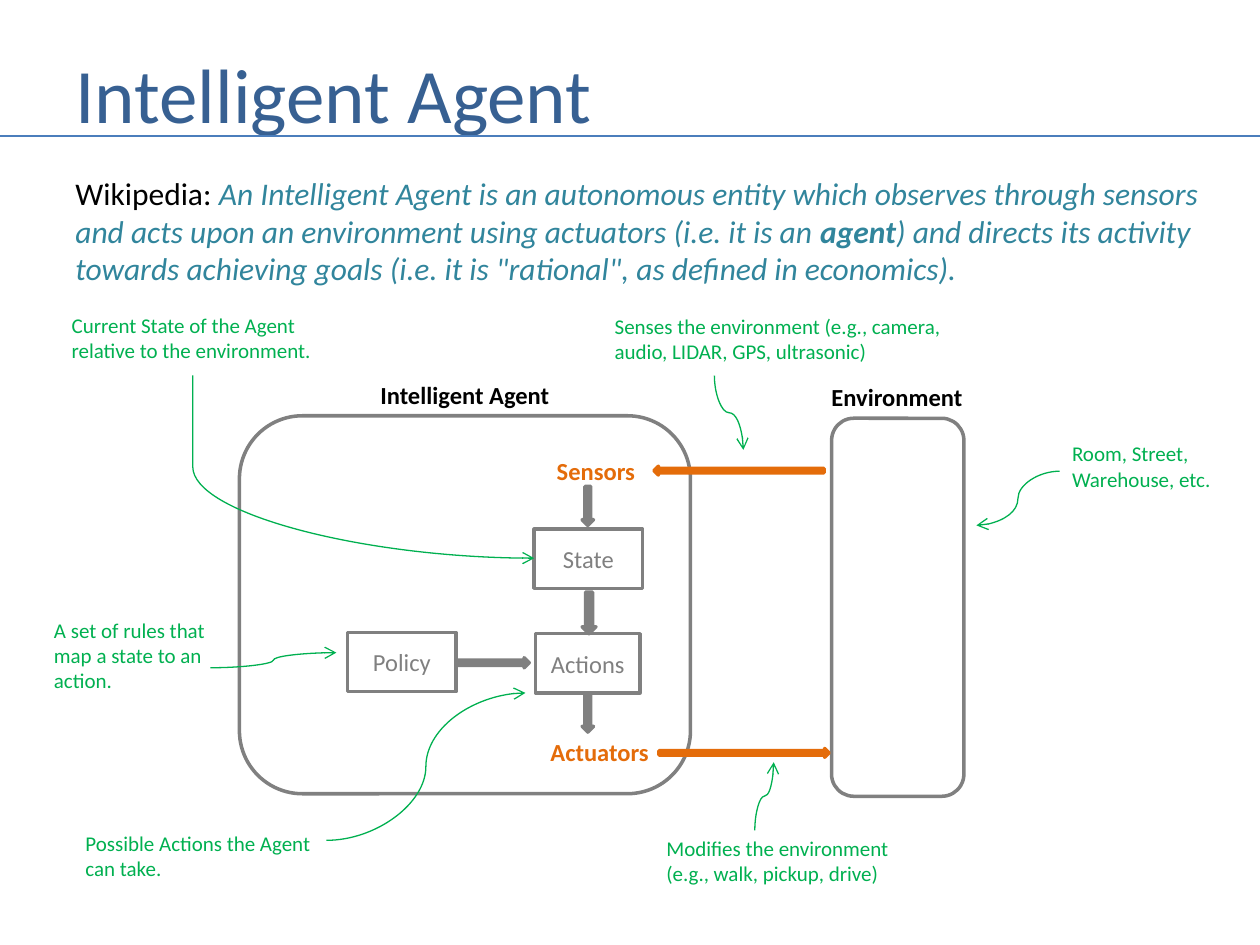
from dataclasses import dataclass

from lxml.etree import SubElement
from pptx import Presentation
from pptx.dml.color import RGBColor
from pptx.enum.shapes import MSO_CONNECTOR, MSO_SHAPE
from pptx.enum.text import MSO_ANCHOR, MSO_AUTO_SIZE, PP_ALIGN
from pptx.oxml.ns import qn
from pptx.util import Inches, Pt

FONT = "Calibri"
BLACK, GRAY, ORANGE, GREEN = "000000", "808080", "E46C0A", "00B050"
TITLE_BLUE, RULE_BLUE, TEAL = "376092", "4B7EBC", "31859C"


@dataclass
class Area:
    left: float
    top: float
    width: float
    height: float

    def lengths(self):
        return [Inches(n) for n in (self.left, self.top, self.width, self.height)]


@dataclass
class Label:
    text: str
    area: Area
    color: str
    size: int = 14
    bold: bool = True


@dataclass
class Note(Label):
    color: str = GREEN
    size: int = 12
    bold: bool = False


@dataclass
class Block:
    area: Area
    text: str = ""
    kind: int = MSO_SHAPE.RECTANGLE


@dataclass
class Arrow:
    kind: int
    area: Area
    color: str = GRAY
    rotation: int = 0


@dataclass
class Curve:
    start: tuple
    end: tuple
    vertical: bool = False
    bend: int = 50000


LABELS = [
    Label("Intelligent Agent", Area(2.92, 2.97, 1.55, 0.34), BLACK),
    Label("Environment", Area(6.5, 2.98, 1.25, 0.34), BLACK),
    Label("Sensors", Area(4.32, 3.57, 0.83, 0.34), ORANGE),
    Label("Actuators", Area(4.27, 5.8, 0.99, 0.34), ORANGE),
    Note("Senses the environment (e.g., camera, \vaudio, LIDAR, GPS, ultrasonic)",
         Area(4.78, 2.44, 2.85, 0.5)),
    Note("Room, Street, \vWarehouse, etc.", Area(8.41, 3.45, 1.31, 0.5)),
    Note("Modifies the environment\v(e.g., walk, pickup, drive)", Area(5.19, 6.58, 1.98, 0.5)),
    Note("Current State of the Agent\nrelative to the environment.", Area(0.47, 2.43, 2.12, 0.5)),
    Note("Possible Actions the Agent\ncan take.", Area(0.58, 6.54, 2.01, 0.5)),
    Note("A set of rules that\nmap a state to an\naction.", Area(0.33, 4.85, 1.41, 0.71)),
]

BLOCKS = [
    Block(Area(1.9, 3.3, 3.58, 3), kind=MSO_SHAPE.ROUNDED_RECTANGLE),
    Block(Area(6.6, 3.32, 1.05, 3), kind=MSO_SHAPE.ROUNDED_RECTANGLE),
    Block(Area(4.24, 4.2, 0.86, 0.47), "State"),
    Block(Area(4.25, 5.03, 0.83, 0.47), "Actions"),
    Block(Area(2.76, 5.02, 0.86, 0.47), "Policy"),
]

ARROWS = [
    Arrow(MSO_SHAPE.RIGHT_ARROW, Area(5.23, 5.94, 1.35, 0.07), ORANGE),
    Arrow(MSO_SHAPE.RIGHT_ARROW, Area(5.19, 3.7, 1.35, 0.07), ORANGE, 180),
    Arrow(MSO_SHAPE.DOWN_ARROW, Area(4.62, 3.86, 0.09, 0.31)),
    Arrow(MSO_SHAPE.DOWN_ARROW, Area(4.62, 4.7, 0.11, 0.33)),
    Arrow(MSO_SHAPE.DOWN_ARROW, Area(4.62, 5.5, 0.09, 0.31)),
    Arrow(MSO_SHAPE.RIGHT_ARROW, Area(3.62, 5.22, 0.58, 0.08)),
]

CURVES = [
    Curve((5.67, 2.98), (5.9, 3.57), vertical=True),
    Curve((8.41, 3.74), (7.75, 4.17)),
    Curve((5.99, 6.59), (6.14, 6.05), vertical=True),
    Curve((1.53, 2.98), (4.24, 4.43), bend=0),
    Curve((2.59, 6.67), (4.17, 5.5)),
    Curve((1.67, 5.3), (2.67, 5.18)),
]


def rgb(color: str) -> RGBColor:
    return RGBColor.from_string(color)


def style_font(font, size: int, color: str, bold: bool = False, italic: bool = False) -> None:
    font.name, font.size = FONT, Pt(size)
    font.bold, font.italic = bold, italic
    font.color.rgb = rgb(color)


def style_text(frame, size: int, color: str, bold: bool = False) -> None:
    for para in frame.paragraphs:
        for span in para.runs:
            style_font(span.font, size, color, bold)


def add_title(page, text: str) -> None:
    frame = page.shapes.add_textbox(*Area(0.5, 0.3, 9.08, 0.87).lengths()).text_frame
    frame.word_wrap = True
    frame.vertical_anchor = MSO_ANCHOR.MIDDLE
    frame.text = text
    style_text(frame, 44, TITLE_BLUE)


def add_definition(page) -> None:
    frame = page.shapes.add_textbox(*Area(0.5, 1.33, 9.25, 1.01).lengths()).text_frame
    frame.word_wrap = True
    frame.auto_size = MSO_AUTO_SIZE.SHAPE_TO_FIT_TEXT
    pieces = [
        ("Wikipedia: ", BLACK, False, False),
        ("An Intelligent Agent is an autonomous entity which observes through sensors and acts "
         "upon an environment using actuators (i.e. it is an ", TEAL, False, True),
        ("agent", TEAL, True, True),
        (") and directs its activity towards achieving goals (i.e. it is \"rational\", "
         "as defined in economics).", TEAL, False, True),
    ]
    for text, color, bold, italic in pieces:
        span = frame.paragraphs[0].add_run()
        span.text = text
        style_font(span.font, 18, color, bold, italic)


def add_label(page, label: Label) -> None:
    frame = page.shapes.add_textbox(*label.area.lengths()).text_frame
    frame.word_wrap = False
    frame.auto_size = MSO_AUTO_SIZE.SHAPE_TO_FIT_TEXT
    frame.text = label.text
    style_text(frame, label.size, label.color, label.bold)


def add_outlined(page, kind: int, area: Area, color: str):
    shape = page.shapes.add_shape(kind, *area.lengths())
    shape.shadow.inherit = False
    shape.line.color.rgb = rgb(color)
    shape.line.width = Pt(2)
    return shape


def add_block(page, block: Block) -> None:
    shape = add_outlined(page, block.kind, block.area, GRAY)
    shape.fill.background()
    if block.text:
        frame = shape.text_frame
        frame.text = block.text
        frame.vertical_anchor = MSO_ANCHOR.MIDDLE
        frame.paragraphs[0].alignment = PP_ALIGN.CENTER
        style_text(frame, 14, GRAY)


def add_arrow(page, arrow: Arrow) -> None:
    shape = add_outlined(page, arrow.kind, arrow.area, arrow.color)
    shape.fill.solid()
    shape.fill.fore_color.rgb = rgb(arrow.color)
    shape.rotation = arrow.rotation


def add_connector(page, kind: int, start: tuple, end: tuple, color: str, width: float):
    connector = page.shapes.add_connector(kind, *[Inches(n) for n in (*start, *end)])
    connector.line.color.rgb = rgb(color)
    connector.line.width = Pt(width)
    SubElement(connector.element.spPr, qn("a:effectLst"))
    return connector


def add_curve(page, curve: Curve) -> None:
    """Draw a curved arrow; a vertical one is laid out flat and turned a quarter."""
    (x1, y1), (x2, y2) = start, end = curve.start, curve.end
    if curve.vertical:
        middle_x, middle_y = (x1 + x2) / 2, (y1 + y2) / 2
        half_x, half_y = (y2 - y1) / 2, (x1 - x2) / 2
        start = (middle_x - half_x, middle_y - half_y)
        end = (middle_x + half_x, middle_y + half_y)
    connector = add_connector(page, MSO_CONNECTOR.CURVE, start, end, GREEN, 0.75)
    properties = connector.element.spPr
    if curve.vertical:
        properties.find(qn("a:xfrm")).set("rot", str(90 * 60000))
    guides = properties.find(qn("a:prstGeom")).find(qn("a:avLst"))
    SubElement(guides, qn("a:gd"), name="adj1", fmla=f"val {curve.bend}")
    SubElement(properties.find(qn("a:ln")), qn("a:tailEnd"), type="arrow")


def main() -> None:
    deck = Presentation()
    deck.slide_width, deck.slide_height = Inches(10), Inches(7.5)
    page = deck.slides.add_slide(deck.slide_layouts[6])
    add_title(page, "Intelligent Agent")
    add_connector(page, MSO_CONNECTOR.STRAIGHT, (0, 1.08), (10, 1.08), RULE_BLUE, 1.5)
    add_definition(page)
    for draw, items in ((add_block, BLOCKS), (add_arrow, ARROWS),
                        (add_label, LABELS), (add_curve, CURVES)):
        for item in items:
            draw(page, item)
    deck.save("out.pptx")


if __name__ == "__main__":
    main()
